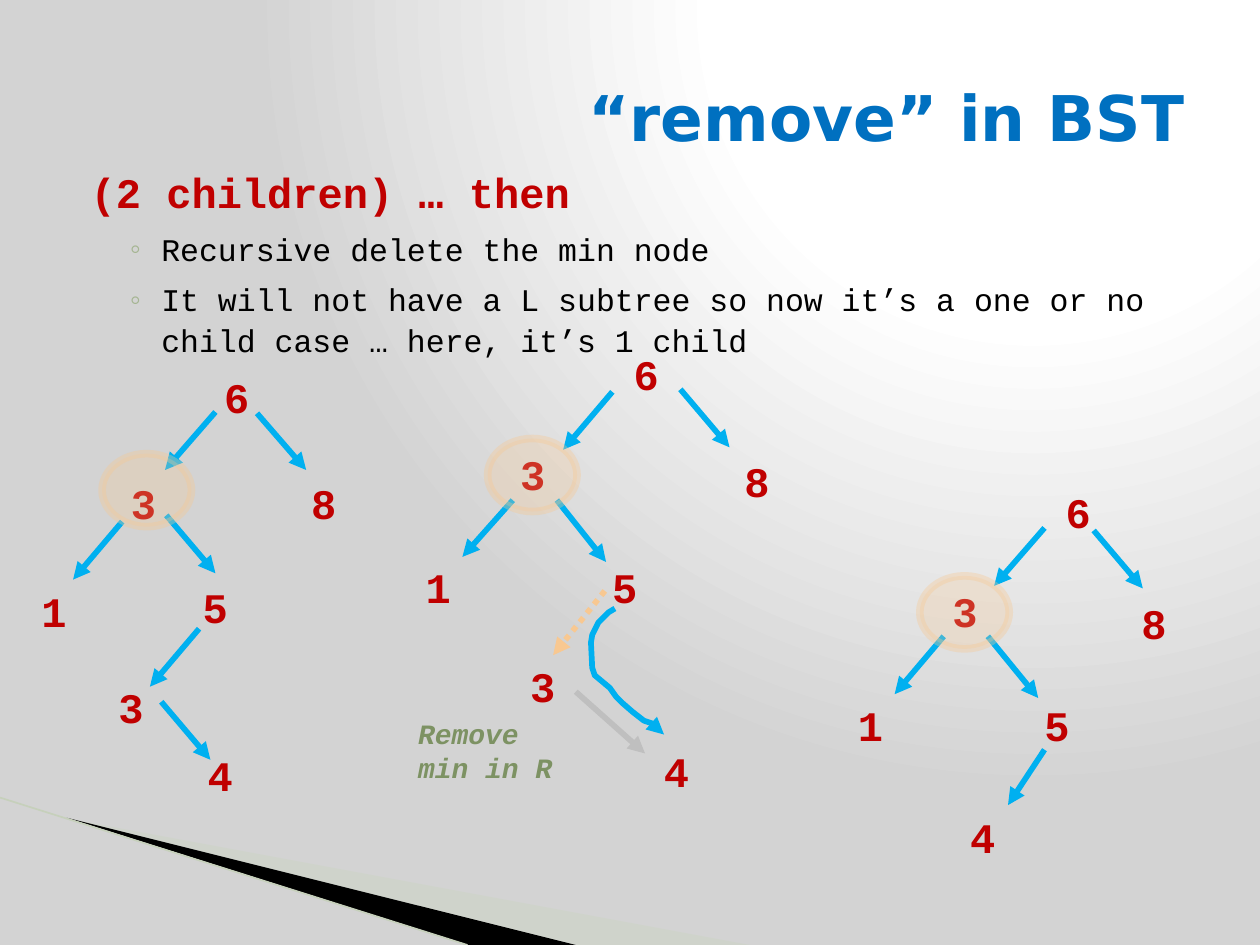
from lxml import etree
from pptx import Presentation
from pptx import util as u
from pptx.dml.color import RGBColor
from pptx.enum import dml, shapes, text
from pptx.oxml import parse_xml
from pptx.oxml.ns import nsdecls, qn

COLORS = {
    "title": "0070C0", "node": "C00000", "body": "000000", "bullet": "A5B592",
    "arrow": "00B0F0", "faded": "BFBFBF", "highlight": "F8C891", "note": "7D9263",
    "wedge": "CBD4C0", "edge": "C6D0BB", "black": "000000",
    "bg_light": "FFFFFF", "bg_dark": "D3D3D3",
}
MONO = "Courier New"

# Nodes are (label, left, top, width); arrows are (x1, y1, x2, y2).
LEFT_TREE = {
    "nodes": [("3", 0.94, 3.74, 0.43), ("6", 1.68, 2.9, 0.49), ("1", 0.23, 4.6, 0.42),
              ("5", 1.51, 4.57, 0.42), ("3", 0.84, 5.36, 0.42), ("8", 2.37, 3.74, 0.42),
              ("4", 1.55, 5.9, 0.42)],
    "arrows": [(1.32, 4.09, 1.71, 4.55), (1.71, 3.27, 1.31, 3.73), (0.97, 4.14, 0.58, 4.6),
               (1.58, 4.99, 1.19, 5.45), (2.04, 3.28, 2.43, 3.73), (1.28, 5.57, 1.67, 6.03)],
    "highlight": (0.81, 3.6),
}
MIDDLE_TREE = {
    "nodes": [("3", 4.03, 3.51, 0.42), ("6", 4.93, 2.72, 0.49), ("4", 5.17, 5.87, 0.42),
              ("1", 3.28, 4.41, 0.42), ("8", 5.81, 3.57, 0.42), ("3", 4.11, 5.19, 0.42),
              ("5", 4.76, 4.41, 0.42)],
    "arrows": [(4.07, 3.97, 3.67, 4.42), (5.4, 3.09, 5.79, 3.55),
               (4.86, 3.11, 4.47, 3.57), (4.42, 3.97, 4.81, 4.46)],
    "highlight": (3.87, 3.48),
}
RIGHT_TREE = {
    "nodes": [("3", 7.46, 4.6, 0.42), ("6", 8.36, 3.81, 0.49), ("4", 7.6, 6.39, 0.42),
              ("1", 6.71, 5.5, 0.42), ("8", 8.96, 4.69, 0.52), ("5", 8.19, 5.5, 0.42)],
    "arrows": [(7.49, 5.05, 7.1, 5.51), (8.68, 4.21, 9.07, 4.67), (8.29, 4.19, 7.89, 4.65),
               (8.29, 5.95, 8, 6.39), (7.84, 5.05, 8.24, 5.54)],
    "highlight": (7.3, 4.57),
}
BYPASS = [(4.88, 4.83), (4.83, 4.86), (4.75, 4.94), (4.7, 5.04), (4.69, 5.1), (4.7, 5.3),
          (4.72, 5.36), (4.78, 5.41), (4.84, 5.46), (4.89, 5.53), (4.94, 5.58),
          (5.02, 5.65), (5.11, 5.72), (5.17, 5.74), (5.21, 5.78), (5.27, 5.83)]


def rgb(name):
    return RGBColor.from_string(COLORS[name])


def inches(*values):
    return [u.Inches(v) for v in values]


def write(p, words, size=24, color="node", font=MONO, bold=True, italic=False):
    r = p.add_run()
    r.text = words
    r.font.name, r.font.size = font, u.Pt(size)
    r.font.bold, r.font.italic = bold, italic
    r.font.color.rgb = rgb(color)


def set_alpha(fill_element, percent):
    color = fill_element.find(".//" + qn("a:srgbClr"))
    etree.SubElement(color, qn("a:alpha")).set("val", str(percent * 1000))


def set_bullet(p, left, indent, char=None):
    pPr = p._p.get_or_add_pPr()
    pPr.set("marL", str(u.Inches(left)))
    pPr.set("indent", str(u.Inches(indent)))
    if char is None:
        etree.SubElement(pPr, qn("a:buNone"))
        return
    color = etree.SubElement(pPr, qn("a:buClr"))
    etree.SubElement(color, qn("a:srgbClr")).set("val", COLORS["bullet"])
    etree.SubElement(pPr, qn("a:buChar")).set("char", char)


class TreeSlide:
    def __init__(self, prs):
        self.slide = prs.slides.add_slide(prs.slide_layouts[1])
        self.shapes = self.slide.shapes

    def background(self):
        stops = [(0, "bg_light"), (40, "bg_light"), (100, "bg_dark")]
        gs = "".join(f'<a:gs pos="{pos * 1000}"><a:srgbClr val="{COLORS[c]}"/></a:gs>'
                     for pos, c in stops)
        bg = parse_xml(
            f'<p:bg {nsdecls("p", "a")}><p:bgPr><a:gradFill rotWithShape="1">'
            f'<a:gsLst>{gs}</a:gsLst><a:path path="circle">'
            '<a:fillToRect l="65000" t="0" r="0" b="98000"/></a:path></a:gradFill>'
            '<a:effectLst/></p:bgPr></p:bg>')
        self.slide._element.cSld.insert(0, bg)

    def title(self, words):
        sp = self.shapes.title
        sp.left, sp.top, sp.width, sp.height = inches(0.5, 0.3, 9, 1.25)
        tf = sp.text_frame
        tf.vertical_anchor = text.MSO_ANCHOR.MIDDLE
        tf.paragraphs[0].alignment = text.PP_ALIGN.RIGHT
        write(tf.paragraphs[0], words, size=36, color="title", font="DejaVu Sans")

    def body(self, heading, items):
        sp = self.slide.placeholders[1]
        sp.left, sp.top, sp.width, sp.height = inches(0.5, 1.25, 9, 5.32)
        tf = sp.text_frame
        p = tf.paragraphs[0]
        set_bullet(p, 0.12, 0)
        p.space_before = u.Pt(0)
        p.line_spacing = 1.06
        write(p, heading)
        for item in items:
            p = tf.add_paragraph()
            p.level = 1
            set_bullet(p, 0.68, -0.25, "◦")
            p.space_before = u.Pt(6)
            p.line_spacing = 1.06
            write(p, item, size=18, color="body", bold=False)

    def label(self, words, left, top, width, height=0.5, **style):
        tf = self.shapes.add_textbox(*inches(left, top, width, height)).text_frame
        tf.word_wrap = True
        tf.auto_size = text.MSO_AUTO_SIZE.SHAPE_TO_FIT_TEXT
        write(tf.paragraphs[0], words, **style)

    def stroke(self, sp, color, width, arrow=False):
        sp.line.color.rgb, sp.line.width = rgb(color), u.Pt(width)
        if arrow:
            ln = sp.line._get_or_add_ln()
            etree.SubElement(ln, qn("a:tailEnd")).set("type", "triangle")

    def line(self, x1, y1, x2, y2, color="arrow", width=3.25, arrow=True, dash=None):
        sp = self.shapes.add_connector(shapes.MSO_CONNECTOR.STRAIGHT, *inches(x1, y1, x2, y2))
        if dash:
            sp.line.dash_style = dash
        self.stroke(sp, color, width, arrow)
        etree.SubElement(sp._element.spPr, qn("a:effectLst"))

    def outline(self, points, close=True):
        start, *rest = [tuple(inches(*pt)) for pt in points]
        builder = self.shapes.build_freeform(*start)
        builder.add_line_segments(rest, close=close)
        sp = builder.convert_to_shape()
        sp.shadow.inherit = False
        return sp

    def wedge(self, points, color, alpha=100):
        sp = self.outline(points)
        sp.line.fill.background()
        sp.fill.solid()
        sp.fill.fore_color.rgb = rgb(color)
        if alpha < 100:
            set_alpha(sp._element.spPr, alpha)

    def curved_arrow(self, points):
        sp = self.outline(points, close=False)
        sp.fill.background()
        self.stroke(sp, "arrow", 3.25, arrow=True)

    def highlight(self, left, top):
        sp = self.shapes.add_shape(shapes.MSO_SHAPE.OVAL, *inches(left, top, 0.71, 0.58))
        sp.shadow.inherit = False
        sp.fill.solid()
        sp.fill.fore_color.rgb = rgb("highlight")
        set_alpha(sp._element.spPr.find(qn("a:solidFill")), 26)
        self.stroke(sp, "highlight", 4.33)
        set_alpha(sp.line._get_or_add_ln(), 35)

    def tree(self, nodes, arrows, highlight, bypass=False):
        """Draw one grouped tree; bypass adds the links around the removed node."""
        self.shapes = self.slide.shapes.add_group_shape().shapes
        for node in nodes:
            self.label(*node)
        for arrow in arrows:
            self.line(*arrow)
        if bypass:
            self.line(4.57, 5.49, 5.12, 5.98, color="faded")
            self.line(4.8, 4.69, 4.39, 5.2, color="highlight", dash=dml.MSO_LINE.ROUND_DOT)
        self.highlight(*highlight)
        if bypass:
            self.curved_arrow(BYPASS)
        self.shapes = self.slide.shapes


def main():
    prs = Presentation()
    prs.slide_width, prs.slide_height = inches(10, 7.5)
    s = TreeSlide(prs)
    s.background()
    s.wedge([(0.55, 6.5), (5.95, 7.5), (4.56, 7.5)], "wedge", alpha=40)
    s.wedge([(0.53, 6.49), (4.57, 7.5), (3.72, 7.5)], "black")
    s.line(0, 6.33, 3.71, 7.5, color="edge", width=0.95, arrow=False)
    s.title("“remove” in BST")
    s.body("(2 children) … then", [
        "Recursive delete the min node",
        "It will not have a L subtree so now it’s a one or no child case … here, it’s 1 child",
    ])
    s.tree(**RIGHT_TREE)
    s.tree(**MIDDLE_TREE, bypass=True)
    s.label("Remove min in R", 3.22, 5.64, 1.27, 0.64, size=16, color="note", italic=True)
    s.tree(**LEFT_TREE)
    prs.save("out.pptx")


if __name__ == "__main__":
    main()
